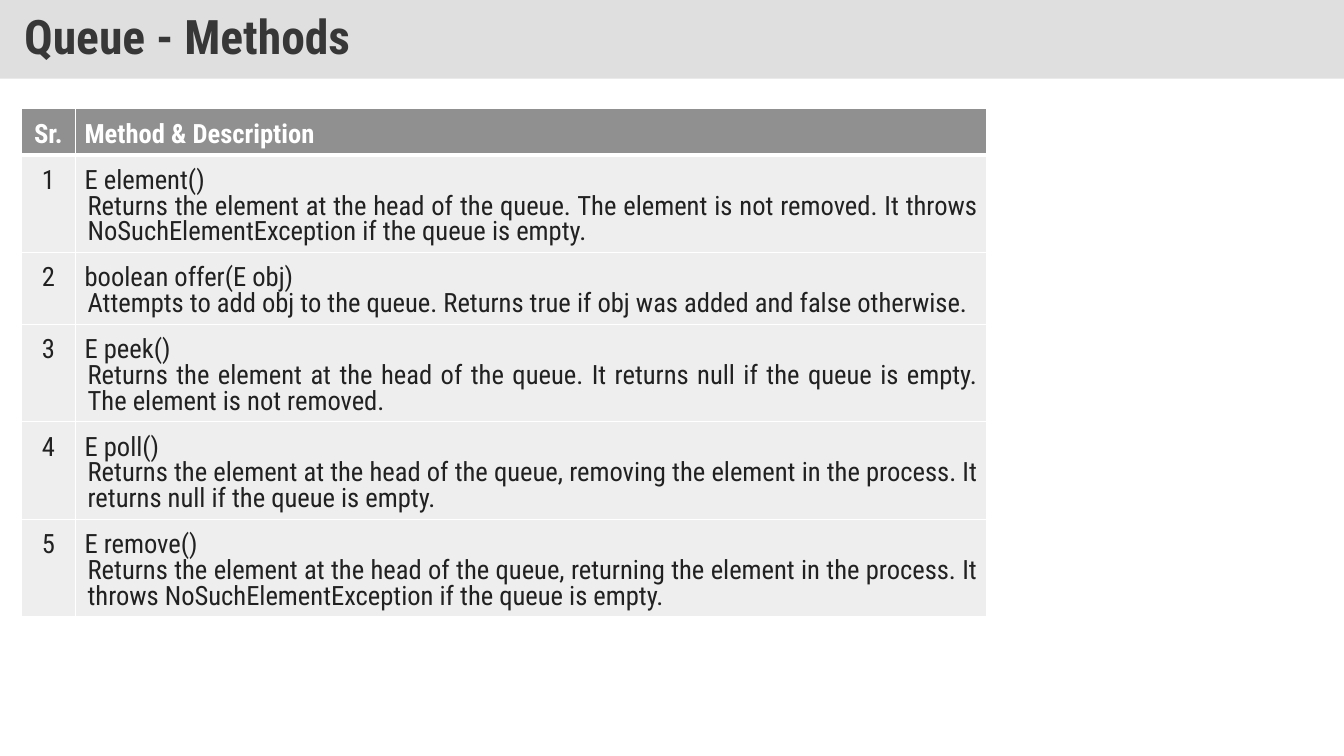
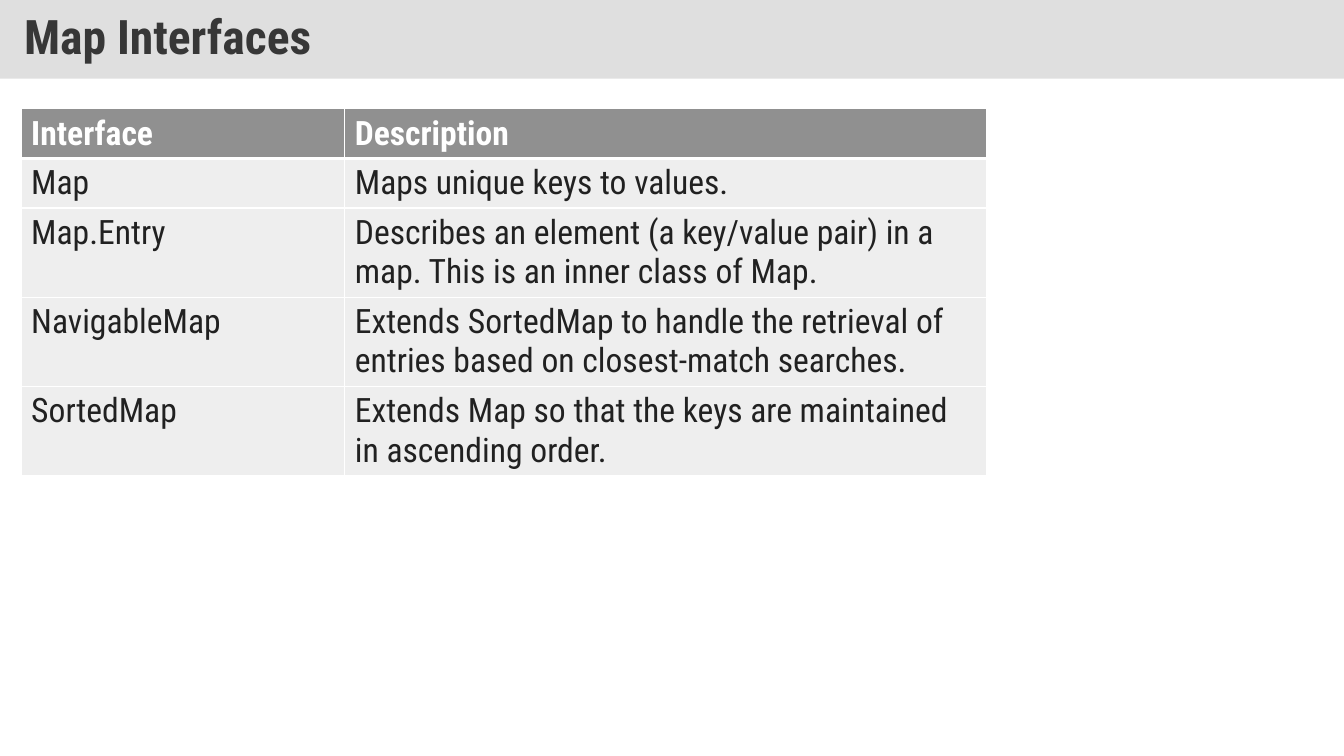
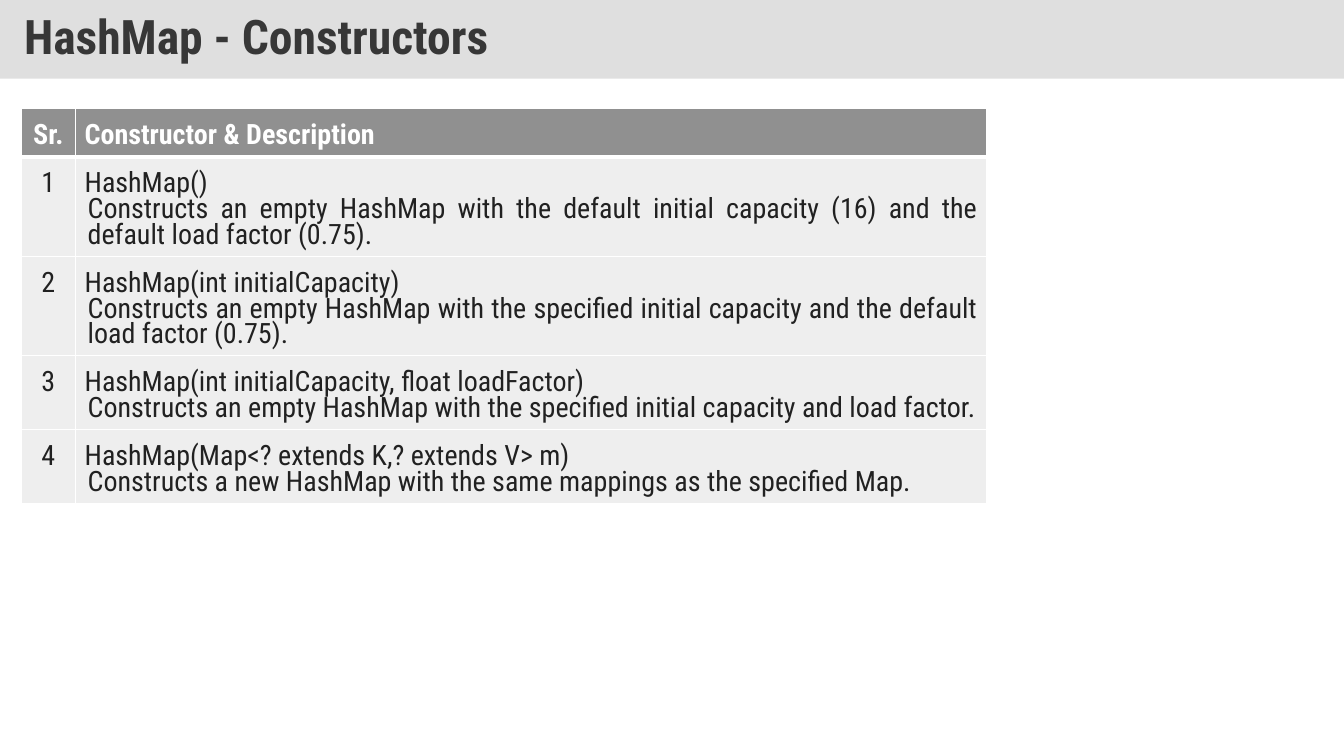
from lxml.etree import SubElement as Sub
from pptx import Presentation
from pptx.dml.color import RGBColor as RGB
from pptx.enum.shapes import MSO_SHAPE as SHAPE
from pptx.enum.text import MSO_ANCHOR as ANCHOR, PP_ALIGN as ALIGN
from pptx.oxml.ns import qn
from pptx.util import Inches, Pt

FONT = "Roboto Condensed"
HUES = {
    "band": "C0C0C0",
    "title": "373737",
    "head": "909090",
    "row": "EEEEEE",
    "text": "212121",
    "white": "FFFFFF",
}
WIDE = 13.33
GRID = (0.21, 1.08, 9.58)
THIN, THICK = 0.96, 3

QUEUE = [
    ("E element()", "Returns the element at the head of the queue. The element is not removed. "
     "It throws NoSuchElementException if the queue is empty."),
    ("boolean offer(E obj)", "Attempts to add obj to the queue. Returns true if obj was added "
     "and false otherwise."),
    ("E peek()", "Returns the element at the head of the queue. It returns null if the queue "
     "is empty. The element is not removed."),
    ("E poll()", "Returns the element at the head of the queue, removing the element in the "
     "process. It returns null if the queue is empty."),
    ("E remove()", "Returns the element at the head of the queue, returning the element in the "
     "process. It throws NoSuchElementException if the queue is empty."),
]
MAPS = [
    ("Map", "Maps unique keys to values."),
    ("Map.Entry", "Describes an element (a key/value pair) in a map. "
     "This is an inner class of Map."),
    ("NavigableMap", "Extends SortedMap to handle the retrieval of entries based on "
     "closest-match searches."),
    ("SortedMap", "Extends Map so that the keys are maintained in ascending order."),
]
HASH = [
    ("HashMap()", "Constructs an empty HashMap with the default initial capacity (16) and the "
     "default load factor (0.75)."),
    ("HashMap(int initialCapacity)", "Constructs an empty HashMap with the specified initial "
     "capacity and the default load factor (0.75)."),
    ("HashMap(int initialCapacity, float loadFactor)", "Constructs an empty HashMap with the "
     "specified initial capacity and load factor."),
    ("HashMap(Map<? extends K,? extends V> m)", "Constructs a new HashMap with the same "
     "mappings as the specified Map."),
]


def hue(name):
    """Return the named colour."""
    return RGB.from_string(HUES[name])


def write(para, text, size, color, bold=False):
    """Add one styled run to a paragraph."""
    run = para.add_run()
    run.text = text
    font = run.font
    font.name, font.size, font.bold = FONT, Pt(size), bold
    font.color.rgb = hue(color)


def add_title(slide, text, left=0, top=0, width=WIDE, height=0.78):
    """Place the half-transparent title band."""
    band = slide.shapes.add_shape(
        SHAPE.RECTANGLE, Inches(left), Inches(top), Inches(width), Inches(height))
    band.shadow.inherit = False
    band.fill.solid()
    band.fill.fore_color.rgb = hue("band")
    tint = band.fill._xPr.find(qn("a:solidFill"))[0]
    Sub(tint, qn("a:alpha"), val="50000")
    band.line.fill.background()
    frame = band.text_frame
    frame.word_wrap = True
    frame.vertical_anchor = ANCHOR.MIDDLE
    frame.margin_left = frame.margin_right = Inches(0.24)
    frame.margin_top = frame.margin_bottom = Inches(0.12)
    para = frame.paragraphs[0]
    para.alignment = ALIGN.LEFT
    para.line_spacing = 0.9
    write(para, text, 34, "title", True)


def set_edges(cell, top, bottom):
    """Draw white borders round a cell."""
    props = cell._tc.get_or_add_tcPr()
    for side, width in (("L", THIN), ("R", THIN), ("T", top), ("B", bottom)):
        line = Sub(props, qn(f"a:ln{side}"), w=str(int(Pt(width))))
        fill = Sub(line, qn("a:solidFill"))
        Sub(fill, qn("a:srgbClr"), val=HUES["white"])


def add_grid(slide, box, cols, high, rows):
    """Add a table with a dark header and yield each row number and cell."""
    left, top, width = box
    table = slide.shapes.add_table(
        len(rows), len(cols), Inches(left), Inches(top),
        Inches(width), Inches(high * len(rows))).table
    table.horz_banding = False
    for col, size in zip(table.columns, cols):
        col.width = Inches(size)
    for r, row in enumerate(rows):
        for c, text in enumerate(row):
            cell = table.cell(r, c)
            set_edges(cell, THICK if r == 1 else THIN, THICK if r == 0 else THIN)
            cell.fill.solid()
            cell.fill.fore_color.rgb = hue("row" if r else "head")
            yield r, c, cell, text


def style(row):
    """Return text colour and weight for a row."""
    return ("text", False) if row else ("white", True)


def add_list(slide, head, items, size, box=GRID):
    """Place a numbered table of signatures with descriptions."""
    rows = [("Sr.", (head,))]
    rows += [(str(n), item) for n, item in enumerate(items, 1)]
    for r, c, cell, text in add_grid(slide, box, (0.54, box[2] - 0.54), 0.41, rows):
        cell.margin_left = cell.margin_right = Inches(0.09)
        lead, *notes = text if c else (text,)
        para = cell.text_frame.paragraphs[0]
        para.alignment = ALIGN.LEFT if c else ALIGN.CENTER
        para.line_spacing = 1.15
        write(para, lead, size, *style(r))
        for note in notes:
            para = cell.text_frame.add_paragraph()
            para.alignment = ALIGN.JUSTIFY
            para.line_spacing = Pt(18.4)
            para._p.get_or_add_pPr().set("marL", str(int(Inches(0.03))))
            write(para, note, size, *style(r))


def add_pairs(slide, head, items, size, box=GRID):
    """Place a two-column table of names and descriptions."""
    rows = [head, *items]
    for r, c, cell, text in add_grid(slide, box, (3.21, box[2] - 3.21), 0.42, rows):
        write(cell.text_frame.paragraphs[0], text, size, *style(r))


def main():
    """Build and save the deck."""
    deck = Presentation()
    deck.slide_width, deck.slide_height = Inches(WIDE), Inches(7.5)
    pages = [
        ("Queue - Methods", add_list, "Method & Description", QUEUE, 19),
        ("Map Interfaces", add_pairs, ("Interface", "Description"), MAPS, 24),
        ("HashMap - Constructors", add_list, "Constructor & Description", HASH, 20),
    ]
    for title, build, head, items, size in pages:
        slide = deck.slides.add_slide(deck.slide_layouts[6])
        add_title(slide, title)
        build(slide, head, items, size)
    deck.save("out.pptx")


if __name__ == "__main__":
    main()
